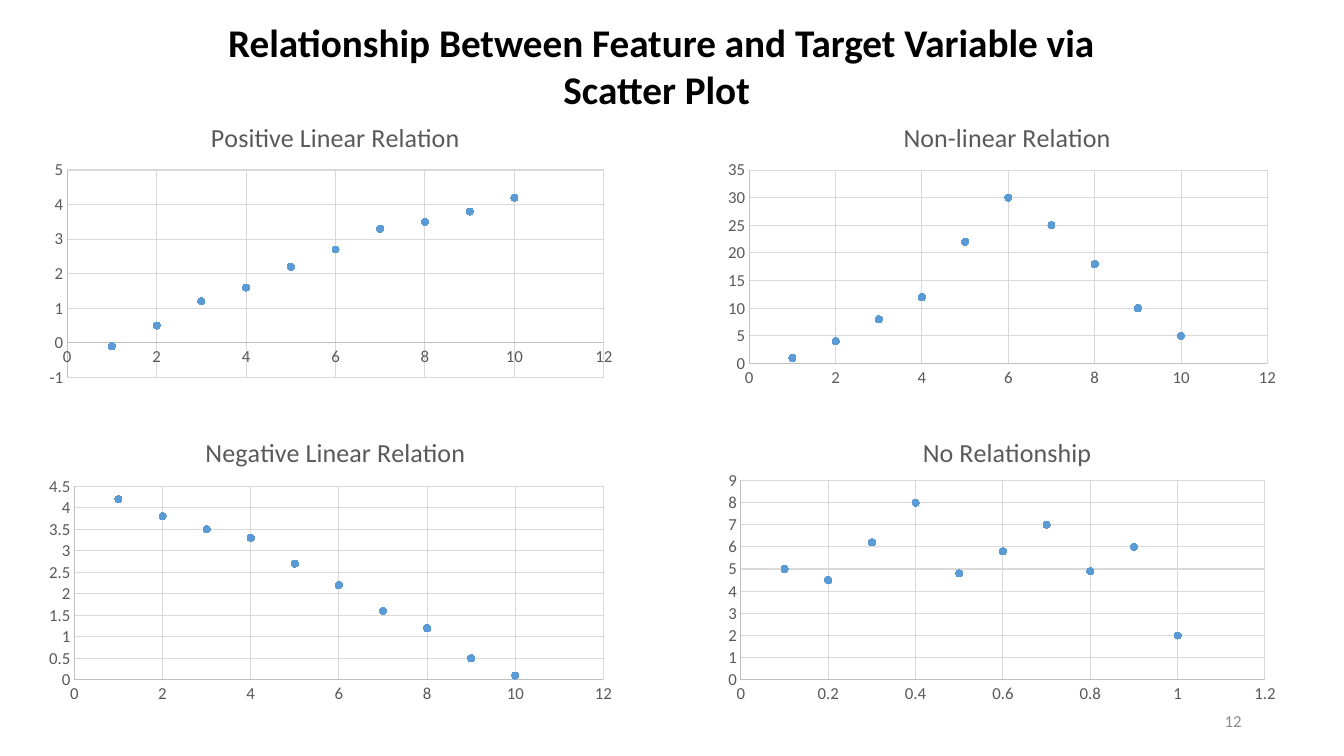
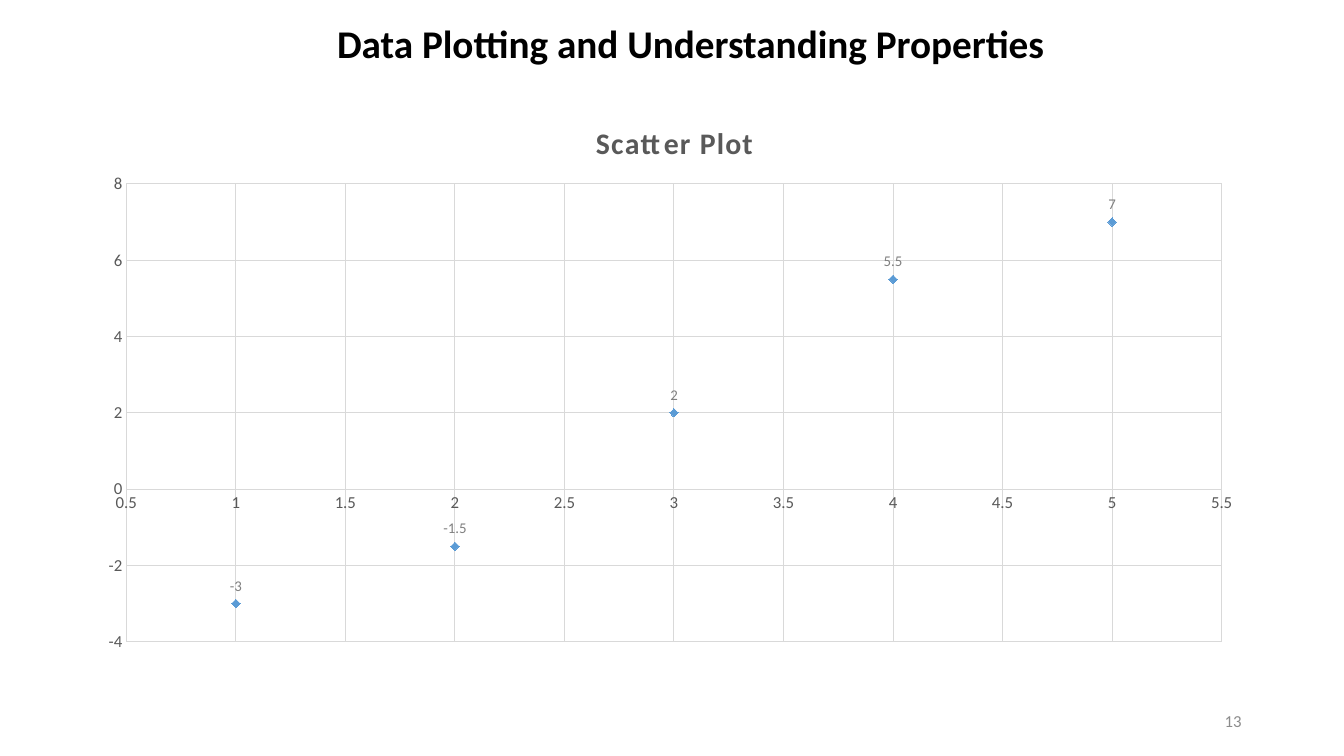
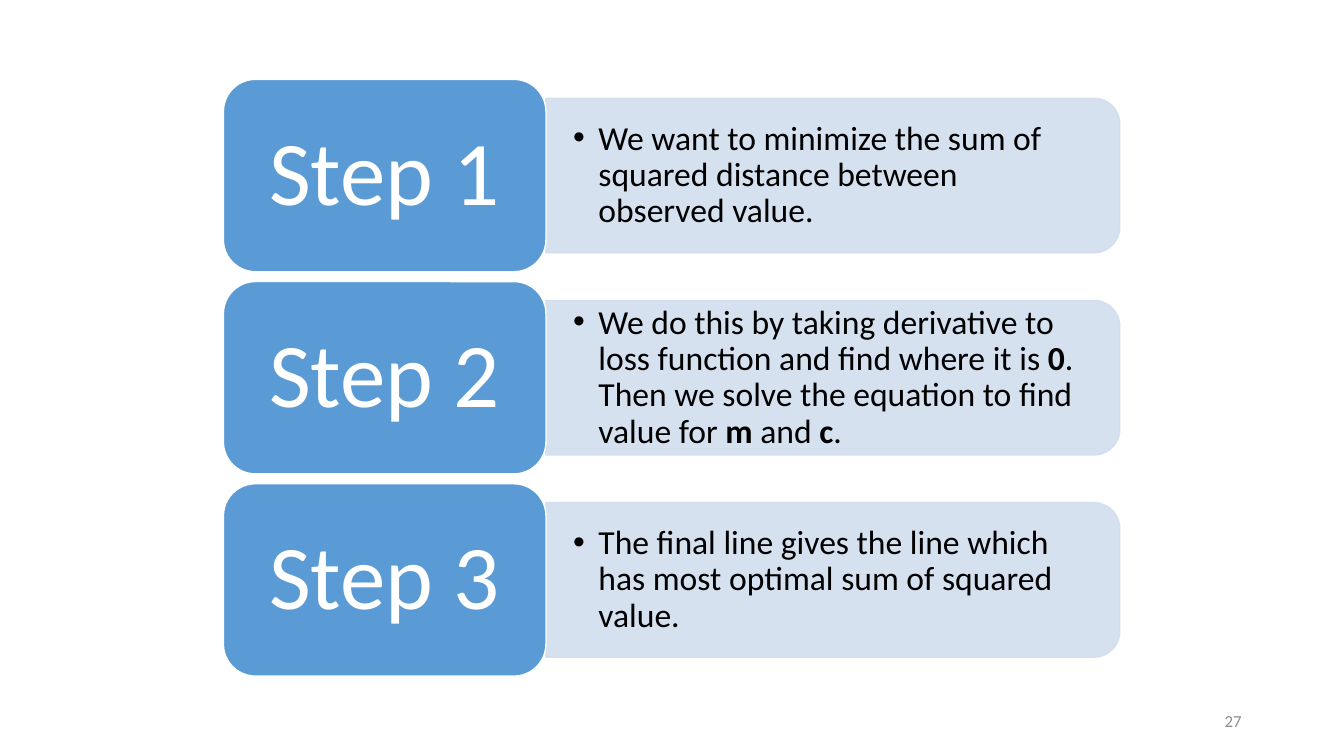
from lxml import etree
from pptx import Presentation
from pptx.chart.data import XyChartData
from pptx.dml.color import RGBColor
from pptx.enum.chart import XL_CHART_TYPE, XL_LABEL_POSITION, XL_MARKER_STYLE, XL_TICK_MARK
from pptx.enum.shapes import MSO_SHAPE
from pptx.enum.text import MSO_ANCHOR, PP_ALIGN
from pptx.oxml import parse_xml
from pptx.oxml.ns import nsdecls, qn
from pptx.util import Inches, Pt

FONT = "Calibri"
COLORS = {name: RGBColor.from_string(value) for name, value in {
    "black": "000000", "white": "FFFFFF", "blue": "5B9BD5", "pale": "D2DEEF",
    "text": "595959", "label": "808080", "number": "8C8C8C",
    "axis": "BFBFBF", "grid": "D9D9D9",
}.items()}

deck = Presentation()
deck.slide_width, deck.slide_height = Inches(13.33), Inches(7.5)
COLUMNS, ROWS = 160, 90


def grid(left, top, width, height):
    """Turn columns and rows of the slide grid into lengths."""
    column, row = deck.slide_width / COLUMNS, deck.slide_height / ROWS
    return [round(left * column), round(top * row), round(width * column), round(height * row)]


def write(frame, pieces, size, color, align, bold=False):
    """Fill one paragraph; every second piece is set in bold."""
    frame.word_wrap = True
    para = frame.paragraphs[0]
    para.alignment = align
    for index, piece in enumerate(pieces):
        span = para.add_run()
        span.text = piece
        span.font.name, span.font.size = FONT, Pt(size)
        span.font.bold = bold or index % 2 == 1
        span.font.color.rgb = COLORS[color]
    return para


relations, plotting, steps = [deck.slides.add_slide(deck.slide_layouts[6]) for _ in range(3)]

# Scatter charts: scales are (minimum, maximum, step)
one_to_ten = range(1, 11)
small = {"title_size": 18.6, "title_top": 2.3, "axis": "axis", "marker": XL_MARKER_STYLE.CIRCLE,
         "marker_size": 5, "labels": False}
large = {"title_size": 21.3, "title_top": 3, "axis": "grid", "marker": XL_MARKER_STYLE.DIAMOND,
         "marker_size": 6, "labels": True}
left_column, right_column = (4.4, 69.8), (85.4, 67.8)
upper_row, lower_row = (11.3, 35.6), (48.8, 35.6)
charts = [
    (relations, small, "Positive Linear Relation", 29.5, left_column, upper_row,
     (8, 20.25, 63.9, 24.7), (0, 12, 2), (-1, 5, 1),
     one_to_ten, [-0.1, 0.5, 1.2, 1.6, 2.2, 2.7, 3.3, 3.5, 3.8, 4.2]),
    (relations, small, "Negative Linear Relation", 30.8, left_column, lower_row,
     (8.85, 57.9, 63, 23.05), (0, 12, 2), (0, 4.5, 0.5),
     one_to_ten, [4.2, 3.8, 3.5, 3.3, 2.7, 2.2, 1.6, 1.2, 0.5, 0.1]),
    (relations, small, "Non-linear Relation", 24.6, right_column, upper_row,
     (89.2, 20.25, 61.7, 23.05), (0, 12, 2), (0, 35, 5),
     one_to_ten, [1, 4, 8, 12, 22, 30, 25, 18, 10, 5]),
    (relations, small, "No Relationship", 20, right_column, lower_row,
     (88.2, 57.2, 62.4, 23.75), (0, 1.2, 0.2), (0, 9, 1),
     [tenth / 10 for tenth in one_to_ten], [5, 4.5, 6.2, 8, 4.8, 5.8, 7, 4.9, 6, 2]),
    (plotting, large, "Scatter Plot", 19, (10.2, 139.2), (10.9, 68),
     (15.05, 21.9, 130.4, 54.5), (0.5, 5.5, 0.5), (-4, 8, 2),
     range(1, 6), [-3, -1.5, 2, 5.5, 7]),
]
for (page, style, title, title_width, (left, width), (top, height), plot_box,
     x_scale, y_scale, x_values, y_values) in charts:
    data = XyChartData()
    points = data.add_series("Series 1")
    for x, y in zip(x_values, y_values):
        points.add_data_point(x, y)
    chart = page.shapes.add_chart(
        XL_CHART_TYPE.XY_SCATTER, *grid(left, top, width, height), data).chart
    chart.has_legend = False
    chart.font.name, chart.font.size = FONT, Pt(10)
    chart.plots[0].vary_by_categories = False

    chart.has_title = True
    chart.chart_title.include_in_layout = False
    para = write(chart.chart_title.text_frame, [title], style["title_size"], "text",
                 PP_ALIGN.CENTER, bold=style is large)
    if style is large:
        para.runs[0].font._element.set("spc", "100")

    for axis, (minimum, maximum, step) in ((chart.category_axis, x_scale),
                                           (chart.value_axis, y_scale)):
        axis.minimum_scale, axis.maximum_scale, axis.major_unit = minimum, maximum, step
        axis.major_tick_mark = axis.minor_tick_mark = XL_TICK_MARK.NONE
        axis.has_major_gridlines = True
        axis.tick_labels.number_format = "General"
        axis.tick_labels.number_format_is_linked = False
        font = axis.tick_labels.font
        font.name, font.size, font.color.rgb = FONT, Pt(12), COLORS["text"]
        for line, color in ((axis.format.line, style["axis"]),
                            (axis.major_gridlines.format.line, "grid")):
            line.color.rgb, line.width = COLORS[color], Pt(0.75)

    series = chart.plots[0].series[0]
    series.format.line.fill.background()
    marker = series.marker
    marker.style, marker.size = style["marker"], style["marker_size"]
    marker.format.fill.solid()
    marker.format.fill.fore_color.rgb = COLORS["blue"]
    marker.format.line.color.rgb = COLORS["blue"]
    if style["labels"]:
        for index in range(len(y_values)):
            label = series.points[index].data_label
            label.position = XL_LABEL_POSITION.ABOVE
            label.font.name, label.font.size = FONT, Pt(10.6)
            label.font.color.rgb = COLORS["label"]

    # Fixed places of the title and the plot, as shares of the chart
    plot_left, plot_top, plot_width, plot_height = plot_box
    title_place = {"x": (1 - title_width / width) / 2, "y": style["title_top"] / height}
    plot_place = {"x": (plot_left - left) / width, "y": (plot_top - top) / height,
                  "w": plot_width / width, "h": plot_height / height}
    plot_area = chart._chartSpace.chart.plotArea
    for parent, index, place in ((chart.chart_title._element, 1, title_place),
                                 (plot_area, 0, plot_place)):
        for old in parent.findall(qn("c:layout")):
            parent.remove(old)
        target = '<c:layoutTarget val="inner"/>' if parent is plot_area else ""
        modes = "".join(f'<c:{key}Mode val="edge"/>' for key in "xy")
        shares = "".join(f'<c:{key} val="{share:.4f}"/>' for key, share in place.items())
        parent.insert(index, parse_xml(
            f'<c:layout {nsdecls("c")}><c:manualLayout>{target}{modes}{shares}'
            '</c:manualLayout></c:layout>'))

# Step tiles with their explanations
tile_left, tile_width, tile_height = 26.6, 38.4, 22.9
panel_width, panel_height = 68.3, 18.4
first_top, row_pitch = 9.45, 24.07
explanations = [
    ["We want to minimize the sum of squared distance between observed value."],
    ["We do this by taking derivative to loss function and find where it is ", "0",
     ". Then we solve the equation to find value for ", "m", " and ", "c", "."],
    ["The final line gives the line which has most optimal sum of squared value."],
]
for row, pieces in enumerate(explanations):
    tile_top = first_top + row * row_pitch
    middle = tile_top + tile_height / 2
    panel_left = tile_left + tile_width
    center = panel_left + panel_width / 2
    panel = steps.shapes.add_shape(MSO_SHAPE.ROUND_2_SAME_RECTANGLE, *grid(
        center - panel_height / 2, middle - panel_width / 2, panel_height, panel_width))
    panel.rotation = 90
    tile = steps.shapes.add_shape(
        MSO_SHAPE.ROUNDED_RECTANGLE, *grid(tile_left, tile_top, tile_width, tile_height))
    for shape, fill, line in ((panel, "pale", "pale"), (tile, "blue", "white")):
        shape.shadow.inherit = False
        shape.fill.solid()
        shape.fill.fore_color.rgb = COLORS[fill]
        shape.line.color.rgb, shape.line.width = COLORS[line], Pt(1)
    for color in panel._element.spPr.iter(qn("a:srgbClr")):
        etree.SubElement(color, qn("a:alpha"), val="90000")
    tile.text_frame.vertical_anchor = MSO_ANCHOR.MIDDLE
    write(tile.text_frame, [f"Step {row + 1}"], 65, "white", PP_ALIGN.CENTER).line_spacing = 0.9

    frame = steps.shapes.add_textbox(*grid(
        panel_left, middle - panel_height / 2, panel_width - 1, panel_height)).text_frame
    frame.vertical_anchor = MSO_ANCHOR.MIDDLE
    frame.margin_left = frame.margin_right = Inches(0.27)
    para = write(frame, pieces, 24, "black", PP_ALIGN.LEFT)
    para.line_spacing = 0.9
    properties = para._p.get_or_add_pPr()
    properties.set("marL", str(Inches(0.25)))
    properties.set("indent", str(-Inches(0.25)))
    etree.SubElement(properties, qn("a:buFont"), typeface="Arial")
    etree.SubElement(properties, qn("a:buChar"), char="•")

# Slide titles and numbers
for page, box, title in (
        (relations, (22.7, 1.6, 112, 12.5),
         "Relationship Between Feature and Target Variable via Scatter Plot "),
        (plotting, (29.6, 1.7, 105.2, 6.8), "Data Plotting and Understanding Properties")):
    frame = page.shapes.add_textbox(*grid(*box)).text_frame
    write(frame, [title], 28, "black", PP_ALIGN.CENTER, bold=True)

for page, number in ((relations, 12), (plotting, 13), (steps, 27)):
    frame = page.shapes.add_textbox(*grid(113, 83.4, 36, 4.8)).text_frame
    frame.vertical_anchor = MSO_ANCHOR.MIDDLE
    write(frame, [str(number)], 12, "number", PP_ALIGN.RIGHT)

deck.save("out.pptx")
